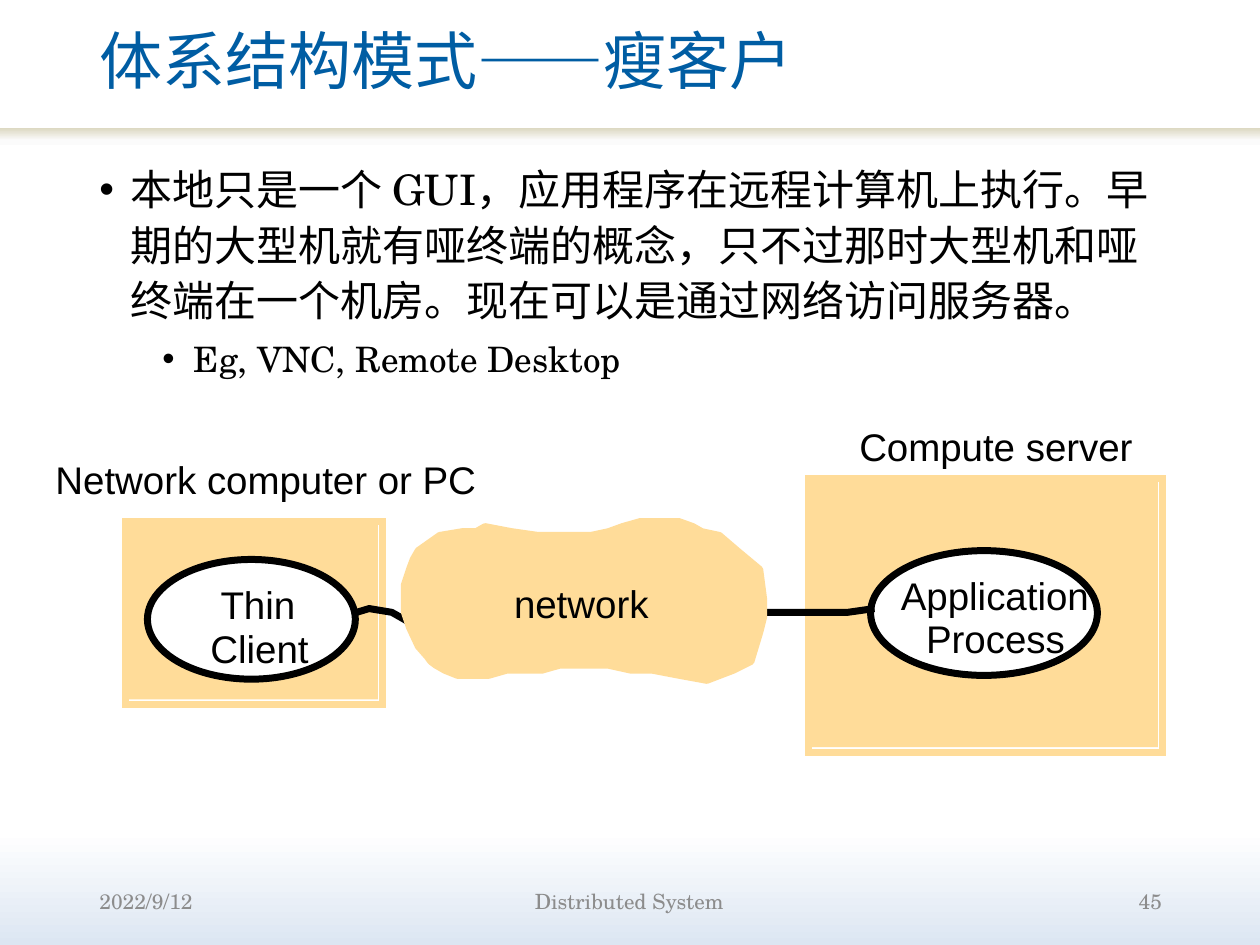
from copy import deepcopy

from lxml.etree import SubElement
from pptx import Presentation
from pptx.dml.color import RGBColor
from pptx.enum.shapes import MSO_SHAPE as Shape
from pptx.enum.text import MSO_ANCHOR as Anchor, MSO_AUTO_SIZE as AutoSize, PP_ALIGN as Align
from pptx.oxml.ns import qn
from pptx.util import Emu, Pt

EMU_PER_PX = 9144
SERIF, SANS = "TeX Gyre Schola", "Arial"
BLACK, WHITE, BLUE, GREY, SAND = "000000", "FFFFFF", "005DA3", "8C8C8C", "FFDC99"


def px(length):
    return Emu(length * EMU_PER_PX)


def color(value):
    return RGBColor.from_string(value)


class SlideBuilder:
    stroke = Pt(4)

    def __init__(self, deck):
        self.page = deck.slides.add_slide(deck.slide_layouts[5])

    def gradient(self, fill, element, stops, angle):
        fill.gradient()
        fill.gradient_angle = angle
        stop_list = element.find(".//" + qn("a:gsLst"))
        while len(stop_list) < len(stops):
            stop_list.append(deepcopy(stop_list[0]))
        for stop, (position, value) in zip(fill.gradient_stops, stops):
            stop.position = position
            stop.color.rgb = color(value)

    def background(self, stops, angle):
        self.gradient(self.page.background.fill, self.page.element, stops, angle)

    def band(self, bounds, stops, angle):
        band = self.shape(Shape.RECTANGLE, bounds)
        self.gradient(band.fill, band.element, stops, angle)

    def paint(self, shape, fill, line):
        shape.shadow.inherit = False
        if fill:
            shape.fill.solid()
            shape.fill.fore_color.rgb = color(fill)
        else:
            shape.fill.background()
        if line:
            shape.line.color.rgb = color(line)
            shape.line.width = self.stroke
        else:
            shape.line.fill.background()
        return shape

    def shape(self, kind, bounds, fill=None, line=None):
        return self.paint(self.page.shapes.add_shape(kind, *map(px, bounds)), fill, line)

    def outline(self, points, fill=None, line=None, closed=False):
        builder = self.page.shapes.build_freeform(*points[0], scale=EMU_PER_PX)
        builder.add_line_segments(points[1:], close=closed)
        return self.paint(builder.convert_to_shape(), fill, line)

    def machine(self, left, top, width, height):
        self.shape(Shape.RECTANGLE, (left, top, width - 4, height - 4), fill=SAND)
        frame = self.shape(Shape.RECTANGLE, (left, top, width, height), line=SAND)
        SubElement(frame.element.find(".//" + qn("a:ln")), qn("a:miter"), lim="800000")

    def style(self, para, size, font, value):
        para.font.size = Pt(size)
        para.font.name = font
        para.font.color.rgb = color(value)

    def title(self, text, bounds):
        box = self.page.shapes.title
        box.left, box.top, box.width, box.height = map(px, bounds)
        frame = box.text_frame
        frame.text = text
        frame.auto_size = AutoSize.NONE
        frame.vertical_anchor = Anchor.MIDDLE
        para = frame.paragraphs[0]
        para.alignment = Align.LEFT
        para.line_spacing = 0.9
        self.style(para, 36, SERIF, BLUE)

    def text_box(self, bounds):
        frame = self.page.shapes.add_textbox(*map(px, bounds)).text_frame
        frame.word_wrap = True
        return frame

    def bullets(self, bounds, items):
        frame = self.text_box(bounds)
        for index, (level, size, text) in enumerate(items):
            para = frame.paragraphs[0] if index == 0 else frame.add_paragraph()
            para.text = text
            para.level = level
            para.line_spacing = 1.1
            if index:
                para.space_before = Pt(5)
            properties = para._p.get_or_add_pPr()
            properties.set("marL", str(px(25 + 50 * level)))
            properties.set("indent", str(px(-25)))
            SubElement(properties, qn("a:buFont"), typeface=SANS)
            SubElement(properties, qn("a:buChar"), char="•")
            self.style(para, size, SERIF, BLACK)

    def footer(self, text, bounds, align):
        frame = self.text_box(bounds)
        frame.vertical_anchor = Anchor.MIDDLE
        para = frame.paragraphs[0]
        para.text = text
        para.alignment = align
        self.style(para, 12, SERIF, GREY)

    def label(self, text, left, top, width):
        frame = self.text_box((left, top, width, 37))
        frame.word_wrap = False
        frame.auto_size = AutoSize.SHAPE_TO_FIT_TEXT
        frame.margin_left = frame.margin_right = frame.margin_top = frame.margin_bottom = 0
        frame.text = text
        self.style(frame.paragraphs[0], 22, SANS, BLACK)


CLIENT_LINK = [(283, 486), (293, 483), (311, 486), (318, 490), (325, 494)]
SERVER_LINK = [(694, 483), (673, 486), (634, 486), (606, 486), (589, 486)]
CLOUD = [
    (328, 444), (332, 437), (349, 425), (367, 422), (378, 422), (385, 418), (406, 422),
    (427, 425), (469, 425), (483, 422), (494, 418), (508, 414), (539, 414), (550, 418),
    (557, 422), (571, 425), (585, 437), (603, 452), (606, 475), (606, 490), (603, 502),
    (596, 525), (582, 532), (561, 540), (539, 536), (518, 532), (501, 532), (483, 528),
    (444, 528), (430, 532), (402, 532), (388, 536), (363, 536), (353, 532), (346, 528),
    (342, 525), (339, 521), (332, 513), (325, 498), (321, 486), (321, 464), (325, 452),
]
LABELS = [
    ("Thin", 175, 461, 62),
    ("Client", 167, 496, 80),
    ("Application", 715, 454, 154),
    ("Process", 735, 488, 115),
    ("Network computer or PC", 44, 362, 338),
    ("Compute server", 682, 336, 220),
    ("network", 408, 460, 110),
]


def main():
    deck = Presentation()
    deck.slide_width, deck.slide_height = px(1000), px(750)
    slide = SlideBuilder(deck)
    slide.background([(0, WHITE), (0.88, WHITE), (1, "DCE6F2")], 270)
    slide.band((0, 102, 1000, 17), [(0, WHITE), (0.45, "FBFBFB"), (1, "DDD9C3")], 90)
    slide.title("体系结构模式——瘦客户", (69, 0, 830, 102))
    slide.bullets((69, 121, 862, 555), [
        (0, 24, "本地只是一个 GUI，应用程序在远程计算机上执行。早期的大型机就有哑终端的概念，"
                "只不过那时大型机和哑终端在一个机房。现在可以是通过网络访问服务器。"),
        (1, 20, "Eg, VNC, Remote Desktop"),
    ])
    slide.footer("2022/9/12", (69, 695, 208, 40), Align.LEFT)
    slide.footer("Distributed System", (276, 695, 447, 40), Align.CENTER)
    slide.footer("45", (724, 695, 208, 40), Align.RIGHT)

    slide.machine(100, 414, 204, 145)
    slide.machine(642, 380, 281, 217)
    for bounds in [(117, 444, 165, 95), (691, 437, 180, 99)]:
        slide.shape(Shape.OVAL, bounds, fill=WHITE, line=BLACK)
    for link in (CLIENT_LINK, SERVER_LINK):
        slide.outline(link, line=BLACK)
    slide.outline(CLOUD, fill=SAND, line=SAND, closed=True)
    for label in LABELS:
        slide.label(*label)
    deck.save("out.pptx")


if __name__ == "__main__":
    main()
